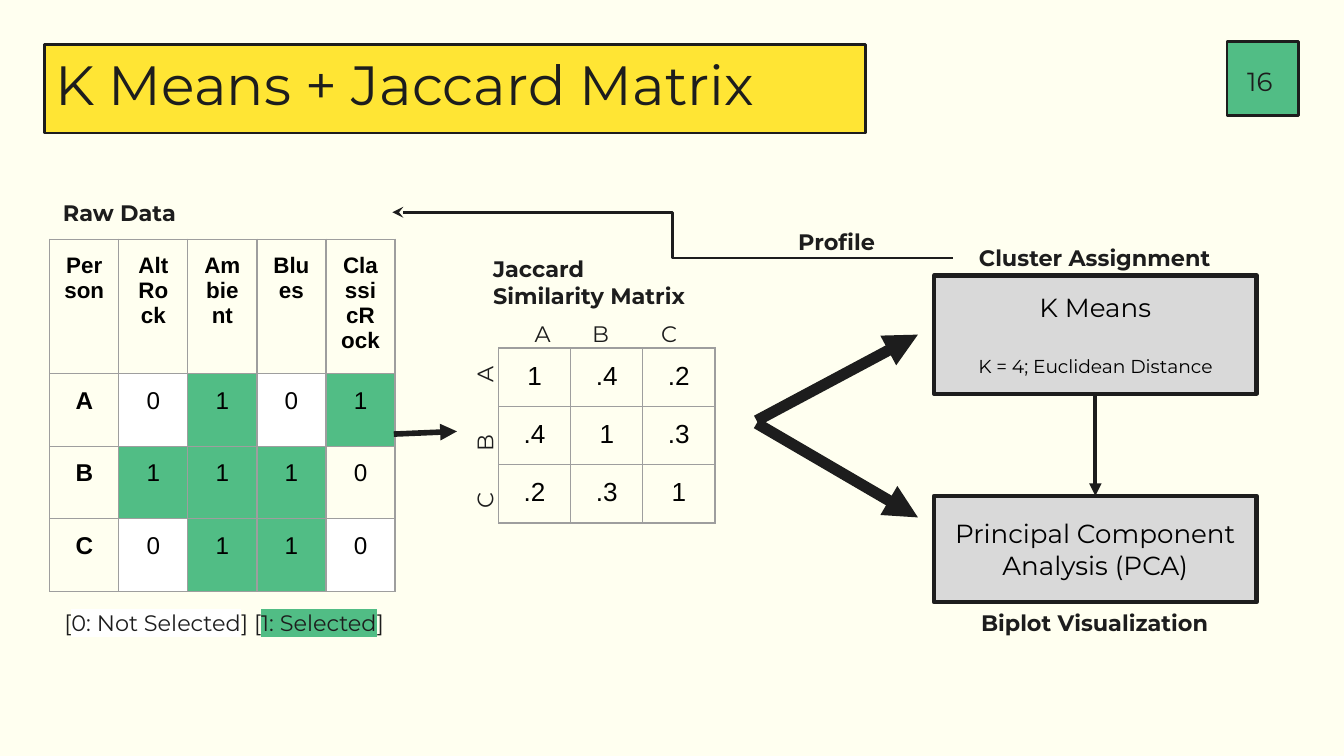
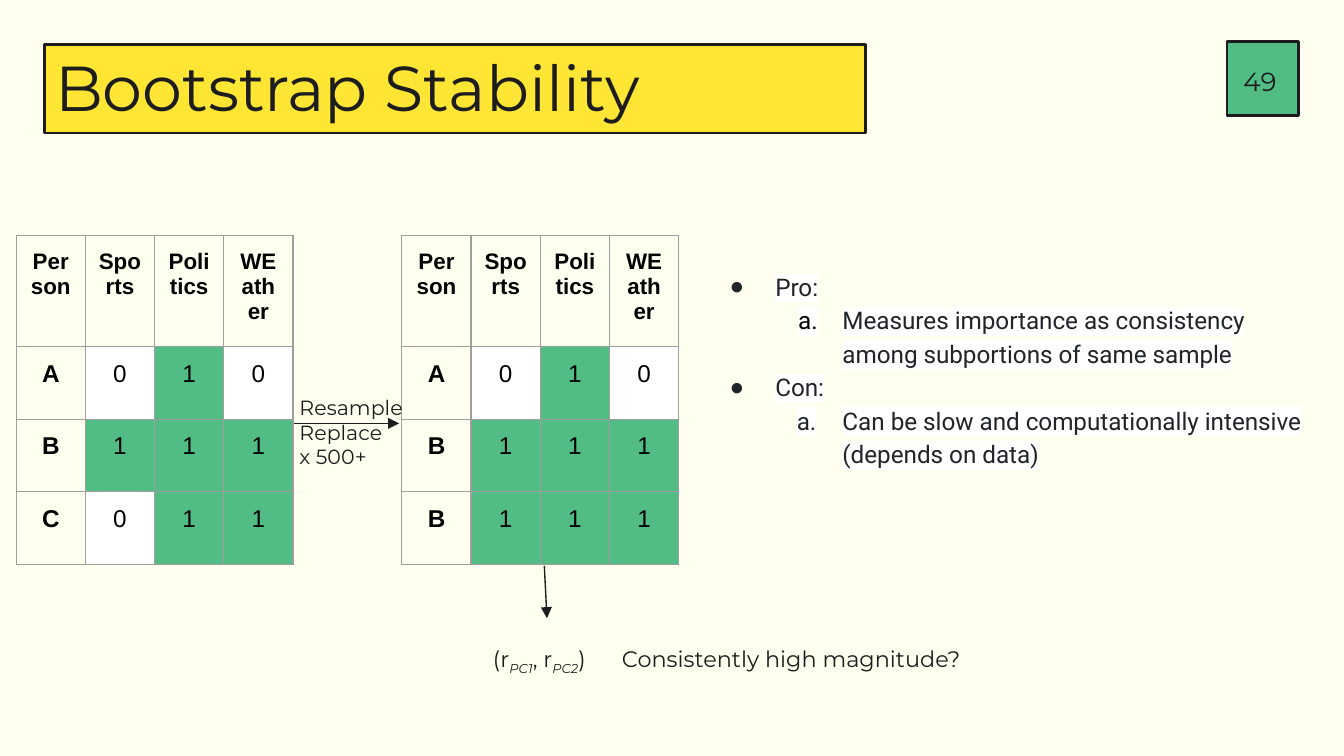
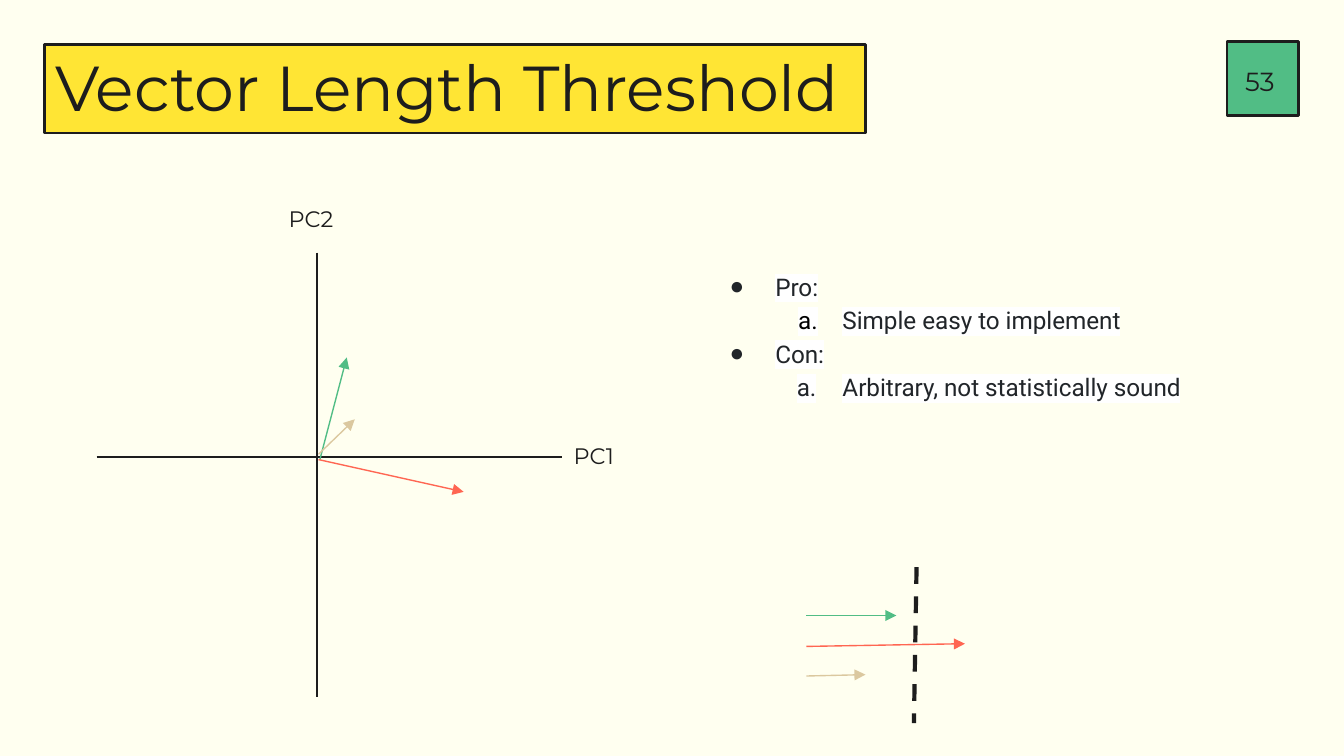
from lxml.etree import SubElement
from pptx import Presentation
from pptx.dml.color import RGBColor
from pptx.enum.dml import MSO_LINE
from pptx.enum.shapes import MSO_CONNECTOR, MSO_SHAPE
from pptx.enum.text import MSO_ANCHOR, MSO_AUTO_SIZE, PP_ALIGN
from pptx.oxml.ns import qn
from pptx.util import Inches, Pt

INK, BLACK, SLATE, WHITE, CREAM = "1D1D1D", "000000", "212529", "FFFFFF", "FFFFF0"
GREEN, YELLOW, GREY, RED, TAN = "51BD85", "FFE534", "D9D9D9", "FF6652", "DBC89F"
LEFT, CENTER = PP_ALIGN.LEFT, PP_ALIGN.CENTER
rgb = RGBColor.from_string


def write(shape, text):
    """Fill a shape with text, one paragraph a line, and return the paragraphs."""
    frame = shape.text_frame
    frame.word_wrap = True
    frame.margin_left = frame.margin_right = Inches(0.1)
    frame.margin_top = frame.margin_bottom = Inches(0.1)
    frame.text = text
    return frame.paragraphs


def style(paras, size, bold=False, align=LEFT, face="Montserrat", color=INK):
    for para in paras:
        para.alignment = align
        para.font.size = Pt(size)
        para.font.bold = bold
        para.font.name = face
        para.font.color.rgb = rgb(color)


deck = Presentation()
deck.slide_width = Inches(10)
deck.slide_height = Inches(10 * 9 / 16)
fill = deck.slide_master.background.fill
fill.solid()
fill.fore_color.rgb = rgb(CREAM)

layout = deck.slide_layouts[5]
for holder in list(layout.placeholders)[1:]:
    holder._element.getparent().remove(holder._element)

# Titles and page numbers
slides = []
for title, size, page in [
    ("K Means + Jaccard Matrix", 29.6, "16"),
    ("Bootstrap Stability", 34, "49"),
    ("Vector Length Threshold", 34, "53"),
]:
    slide = deck.slides.add_slide(layout)
    slides.append(slide)
    head = slide.shapes.title
    head.left, head.top, head.width, head.height = map(Inches, (0.31, 0.37, 6.08, 0.74))
    head.text_frame.auto_size = MSO_AUTO_SIZE.NONE
    head.text_frame.vertical_anchor = MSO_ANCHOR.TOP
    paras = write(head, title)
    paras[0].line_spacing = 0.8
    style(paras, size)
    number = slide.shapes.add_textbox(*map(Inches, (9.11, 0.33, 0.53, 0.55)))
    number.text_frame.vertical_anchor = MSO_ANCHOR.MIDDLE
    style(write(number, page), 14, align=CENTER)
means, boot, vector = slides

# Filled boxes: the title band and page tile go to the layout
boxes = []
for place, color, width in [
    ((0.33, 0.33, 6.11, 0.66), YELLOW, 1.5),
    ((9.13, 0.31, 0.53, 0.55), GREEN, 1.5),
    ((6.95, 2.05, 2.4, 0.88), GREY, 2.25),
    ((6.95, 3.69, 2.4, 0.79), GREY, 2.25),
]:
    box = means.shapes.add_shape(MSO_SHAPE.RECTANGLE, *map(Inches, place))
    box.shadow.inherit = False
    box.fill.solid()
    box.fill.fore_color.rgb = rgb(color)
    box.line.color.rgb = rgb(INK)
    box.line.width = Pt(width)
    boxes.append(box)
band, tile, cluster, biplot = boxes
for part in (band, tile):
    layout.shapes._spTree.insert(2, part._element)

paras = write(cluster, "K Means\nK = 4; Euclidean Distance")
paras[1].space_before = Pt(17)
style(paras[:1], 14, align=CENTER, color=BLACK)
style(paras[1:], 10, align=CENTER, color=BLACK)
style(write(biplot, "Principal Component Analysis (PCA)"), 14, align=CENTER, color=BLACK)

# Tables: in the labelled ones a 1 is green and a 0 is white
survey = ["Person Sports Politics WEather", "A 0 1 0", "B 1 1 1"]
tall = [0.83, 0.54, 0.54, 0.54]
for slide, left, top, wide, heights, rows in [
    (means, 0.37, 1.78, 2.57, tall,
     ["Person AltRock Ambient Blues ClassicRock", "A 0 1 0 1", "B 1 1 1 0", "C 0 1 1 0"]),
    (means, 3.71, 2.59, 1.61, [0.42] * 3, ["1 .4 .2", ".4 1 .3", ".2 .3 1"]),
    (boot, 0.12, 1.75, 2.06, tall, survey + ["C 0 1 1"]),
    (boot, 2.99, 1.75, 2.06, tall, survey + ["B 1 1 1"]),
]:
    grid = [row.split() for row in rows]
    count = len(grid[0])
    table = slide.shapes.add_table(
        len(grid), count, Inches(left), Inches(top),
        Inches(wide), Inches(sum(heights))).table
    table.first_row = table.horz_banding = False
    labelled = heights is tall
    for r, words in enumerate(grid):
        table.rows[r].height = Inches(heights[r])
        for c, word in enumerate(words):
            cell = table.cell(r, c)
            cell.margin_left = cell.margin_right = Inches(0.1)
            cell.margin_top = cell.margin_bottom = Inches(0.1)
            cell.text = word
            label = labelled and (r == 0 or c == 0)
            size = 14 if not labelled else 12 if r == 0 else 13
            style(cell.text_frame.paragraphs, size, label, CENTER, "Arial", BLACK)
            props = cell._tc.get_or_add_tcPr()
            for side in ("lnL", "lnR", "lnT", "lnB"):
                edge = SubElement(props, qn("a:" + side), w=str(Pt(0.75)))
                SubElement(SubElement(edge, qn("a:solidFill")), qn("a:srgbClr"), val="9E9E9E")
            if label or not labelled:
                cell.fill.background()
            else:
                cell.fill.solid()
                blank = CREAM if (r, c) == (2, 4) else WHITE
                cell.fill.fore_color.rgb = rgb(GREEN if word == "1" else blank)

# Plain labels
for slide, place, text, size, bold, align in [
    (means, (7.09, 1.72, 2.11, 0.4), "Cluster Assignment", 12, True, CENTER),
    (means, (7.09, 4.43, 2.11, 0.4), "Biplot Visualization", 12, True, CENTER),
    (means, (5.79, 1.6, 0.87, 0.4), "Profile", 12, True, CENTER),
    (means, (0.37, 1.38, 2.11, 0.4), "Raw Data", 12, True, LEFT),
    (means, (3.57, 1.8, 2.11, 0.61), "Jaccard\nSimilarity Matrix", 12, True, LEFT),
    (boot, (2.13, 2.84, 1.09, 0.76), "Resample\nReplace\nx 500+", 11, False, LEFT),
    (boot, (4.53, 4.7, 2.77, 0.4), "Consistently high magnitude?", 12, False, LEFT),
    (vector, (4.17, 3.19, 0.53, 0.4), "PC1", 12, False, LEFT),
    (vector, (2.05, 1.43, 0.6, 0.4), "PC2", 12, False, LEFT),
]:
    label = slide.shapes.add_textbox(*map(Inches, place))
    style(write(label, text), size, bold, align)

# Matrix headings, spaced by centred tabs
for left, top, turn, text in [
    (3.77, 2.28, 0, "\tA\tB\tC"),
    (2.86, 3.05, 270, "\tC\tB\tA"),
]:
    names = means.shapes.add_textbox(*map(Inches, (left, top, 1.49, 0.4)))
    names.rotation = turn
    paras = write(names, text)
    tabs = SubElement(paras[0]._p.get_or_add_pPr(), qn("a:tabLst"))
    for stop in (0.17, 0.6, 1.11):
        SubElement(tabs, qn("a:tab"), pos=str(Inches(stop)), algn="ctr")
    style(paras, 12)

# Labels with highlighted or lowered runs
for slide, place, runs in [
    (means, (0.38, 4.43, 3.01, 0.4),
     [("[", None), ("0: Not Selected", WHITE), ("] [", None), ("1: Selected", GREEN), ("]", None)]),
    (boot, (3.57, 4.7, 1.16, 0.4),
     [("(r", None), ("PC1", "sub"), (", r", None), ("PC2", "sub"), (")", None)]),
]:
    paras = write(slide.shapes.add_textbox(*map(Inches, place)), "")
    style(paras, 12)
    for text, mark in runs:
        run = paras[0].add_run()
        run.text = text
        props = run._r.get_or_add_rPr()
        if mark == "sub":
            run.font.italic = True
            props.set("baseline", "-25000")
        elif mark:
            SubElement(SubElement(props, qn("a:highlight")), qn("a:srgbClr"), val=mark)

# Pros and cons
for slide, high, pro, con in [
    (boot, 1.68, "Measures importance as consistency among subportions of same sample",
     "Can be slow and computationally intensive (depends on data)"),
    (vector, 1.18, "Simple easy to implement", "Arbitrary, not statistically sound"),
]:
    notes = slide.shapes.add_textbox(*map(Inches, (5.17, 1.89, 4.62, high)))
    paras = write(notes, "\n".join(["Pro:", pro, "Con:", con]))
    for i, para in enumerate(paras):
        para.level = i % 2
        para.line_spacing = 1.15
        props = para._p.get_or_add_pPr()
        props.set("marL", str(Inches(0.5 + 0.5 * para.level)))
        props.set("indent", str(Inches(-0.33 if i == 1 else -0.34)))
        tint = SubElement(props, qn("a:buClr"))
        SubElement(tint, qn("a:srgbClr"), val=BLACK if i == 1 else SLATE)
        if para.level:
            SubElement(props, qn("a:buFont"), typeface="Roboto")
            SubElement(props, qn("a:buAutoNum"), type="alphaLcPeriod")
        else:
            SubElement(props, qn("a:buFont"), typeface="Arial")
            SubElement(props, qn("a:buChar"), char="●")
        mark = SubElement(para.runs[0]._r.get_or_add_rPr(), qn("a:highlight"))
        SubElement(mark, qn("a:srgbClr"), val=WHITE)
    style(paras, 13, face="Roboto", color=SLATE)

# Lines and arrows
for slide, ends, color, width, tip in [
    (means, (5.63, 3.13, 6.83, 2.49), INK, 6, "triangle"),
    (means, (5.63, 3.15, 6.83, 3.85), INK, 6, "triangle"),
    (means, (8.15, 2.93, 8.15, 3.69), INK, 2.25, "triangle"),
    (means, (2.93, 3.23, 3.4, 3.21), INK, 3, "triangle"),
    (means, (7.09, 1.92, 2.92, 1.58), INK, 1.5, "stealth"),
    (boot, (2.19, 3.15, 2.97, 3.15), INK, 0.75, "triangle"),
    (boot, (4.05, 4.21, 4.07, 4.6), INK, 0.75, "triangle"),
    (vector, (2.36, 1.88, 2.36, 5.19), INK, 0.75, None),
    (vector, (0.72, 3.4, 4.18, 3.4), INK, 0.75, None),
    (vector, (2.38, 3.42, 2.58, 2.66), GREEN, 0.75, "triangle"),
    (vector, (2.37, 3.42, 3.45, 3.66), RED, 0.75, "triangle"),
    (vector, (2.37, 3.38, 2.64, 3.12), TAN, 0.75, "triangle"),
    (vector, (6, 4.58, 6.67, 4.58), GREEN, 0.75, "triangle"),
    (vector, (6, 4.81, 7.18, 4.79), RED, 0.75, "triangle"),
    (vector, (6, 5.03, 6.44, 5.02), TAN, 0.75, "triangle"),
    (vector, (6.82, 4.22, 6.8, 5.38), INK, 2.25, "dash"),
]:
    kind = MSO_CONNECTOR.ELBOW if tip == "stealth" else MSO_CONNECTOR.STRAIGHT
    line = slide.shapes.add_connector(kind, *map(Inches, ends))
    line.line.color.rgb = rgb(color)
    line.line.width = Pt(width)
    if tip == "dash":
        line.line.dash_style = MSO_LINE.DASH
    elif tip:
        SubElement(line.line._get_or_add_ln(), qn("a:tailEnd"), type=tip)
    SubElement(line._element.spPr, qn("a:effectLst"))
    if ends[0] == 8.15:
        line.begin_connect(cluster, 2)
        line.end_connect(biplot, 0)

deck.save("out.pptx")
